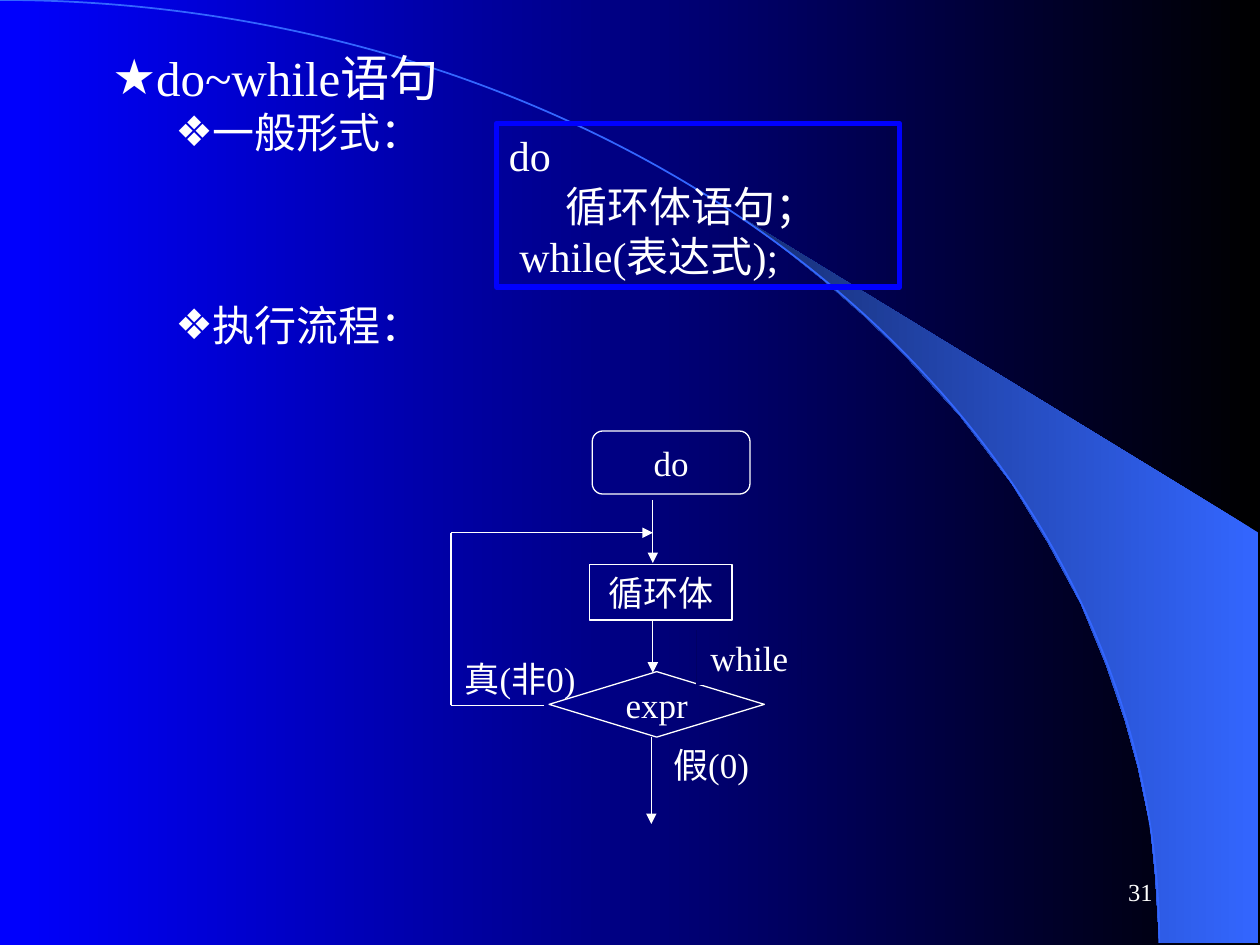
import pptx
import pptx.dml.color
import pptx.enum.shapes
import pptx.enum.text
import pptx.oxml.ns
import pptx.util
from lxml import etree
from pptx.util import Cm

SHAPE = pptx.enum.shapes.MSO_SHAPE
ALIGN = pptx.enum.text.PP_ALIGN
MIDDLE = pptx.enum.text.MSO_ANCHOR.MIDDLE
qn = pptx.oxml.ns.qn

LATIN, CHINESE = "Times New Roman", "Noto Sans CJK SC"
WHITE, BLUE, SKY = "FFFFFF", "0000FF", "3366FF"

# Outer corners first, then down along the ellipse
WEDGE = [
    (23.37, 19), (25.37, 19.02), (25.37, 10.74), (14.96, 4.39), (15.85, 5.05),
    (16.59, 5.64), (17.4, 6.35), (18.19, 7.11), (19.35, 8.38), (20.4, 9.75),
    (21.13, 10.95), (21.79, 12.17), (22.3, 13.41), (22.68, 14.53),
    (22.94, 15.47), (23.19, 16.66), (23.29, 17.68),
]


def rgb(value):
    return pptx.dml.color.RGBColor.from_string(value)


def fill_gradient(fill, right, left):
    fill.gradient()
    fill.gradient_angle = 180
    for stop, color, position in zip(fill.gradient_stops, (right, left), (0, 1)):
        stop.color.rgb = rgb(color)
        stop.position = position


def style_paragraph(paragraph, size, align=ALIGN.LEFT):
    paragraph.alignment = align
    paragraph.space_before = pptx.util.Pt(0)
    font = paragraph.font
    font.size = pptx.util.Pt(size)
    font.color.rgb = rgb(WHITE)
    font.name = LATIN


def write(shape, lines, size, align=ALIGN.CENTER, wrap=False):
    frame = shape.text_frame
    frame.word_wrap = wrap
    frame.vertical_anchor = MIDDLE
    frame.text = "\n".join(lines)
    for paragraph in frame.paragraphs:
        style_paragraph(paragraph, size, align)


def set_bullet(paragraph, symbol, level):
    paragraph.level = level
    properties = paragraph._p.get_or_add_pPr()
    properties.set("marL", str(Cm(1.27 * (level + 1))))
    properties.set("indent", str(Cm(-0.53)))
    color = etree.SubElement(properties, qn("a:buClr"))
    etree.SubElement(color, qn("a:srgbClr")).set("val", WHITE)
    etree.SubElement(properties, qn("a:buChar")).set("char", symbol)


def fill_list(placeholder, box, items):
    """Write (bullet, level, size, runs) items; runs are (text, font) pairs."""
    placeholder.left, placeholder.top, placeholder.width, placeholder.height = map(Cm, box)
    frame = placeholder.text_frame
    frame.auto_size = pptx.enum.text.MSO_AUTO_SIZE.NONE
    for index, (symbol, level, size, runs) in enumerate(items):
        paragraph = frame.add_paragraph() if index else frame.paragraphs[0]
        set_bullet(paragraph, symbol, level)
        style_paragraph(paragraph, size)
        for text, font in runs:
            run = paragraph.add_run()
            run.text = text
            if font != LATIN:
                run.font.name = font


def add_outline(slide, kind, box, color, width):
    shape = slide.shapes.add_shape(kind, *map(Cm, box))
    shape.shadow.inherit = False
    shape.fill.background()
    if color:
        shape.line.color.rgb = rgb(color)
        shape.line.width = pptx.util.Pt(width)
    else:
        shape.line.fill.background()
    return shape


def add_step(slide, kind, box, text, line=WHITE, masks=True):
    """Add a flowchart step; a masking step shows the slide background inside."""
    step = add_outline(slide, kind, box, line, 0.75)
    if masks:
        step._element.spPr.remove(step._element.spPr.find(qn("a:noFill")))
        step._element.set("useBgFill", "1")
    write(step, [text], 20)


def add_label(slide, box, text, size=20, align=ALIGN.CENTER):
    write(slide.shapes.add_textbox(*map(Cm, box)), [text], size, align)


def add_flow(slide, start, end, arrow=True):
    flow = slide.shapes.add_connector(
        pptx.enum.shapes.MSO_CONNECTOR.STRAIGHT, *map(Cm, start + end))
    flow.line.color.rgb = rgb(WHITE)
    flow.line.width = pptx.util.Pt(0.75)
    if arrow:
        etree.SubElement(flow.line._get_or_add_ln(), qn("a:tailEnd")).set("type", "triangle")
    etree.SubElement(flow._element.spPr, qn("a:effectLst"))


def add_backdrop(slide):
    fill_gradient(slide.background.fill, "000000", BLUE)
    builder = slide.shapes.build_freeform(*map(Cm, WEDGE[0]), scale=1.0)
    builder.add_line_segments([tuple(map(Cm, point)) for point in WEDGE[1:]])
    wedge = builder.convert_to_shape()
    wedge.shadow.inherit = False
    wedge.line.fill.background()
    fill_gradient(wedge.fill, SKY, "172F75")
    curve = add_outline(slide, SHAPE.ARC, (-23.37, 0, 46.74, 38.02), SKY, 1)
    for position, part in enumerate((wedge, curve), start=2):
        slide.shapes._spTree.insert(position, part._element)


def add_flowchart(slide):
    axis, loop_left, loop_top, loop_bottom = 13.16, 9.09, 10.74, 14.22
    add_step(slide, SHAPE.FLOWCHART_ALTERNATE_PROCESS, (11.94, 8.69, 3.18, 1.27), "do",
             masks=False)
    add_flow(slide, (13.13, 14.86), (13.13, 16.61))
    add_flow(slide, (axis, 10.08), (axis, 11.35))
    add_step(slide, SHAPE.RECTANGLE, (11.89, 11.38, 2.87, 1.12), "循环体")
    add_flow(slide, (axis, 12.52), (axis, 13.56))
    add_step(slide, SHAPE.FLOWCHART_DECISION, (11.07, 13.54, 4.34, 1.32), "expr")
    add_label(slide, (13.13, 14.86, 2.41, 1.12), "假(0)")
    add_label(slide, (8.86, 13.11, 3.25, 1.12), "真(非0)")
    add_flow(slide, (10.97, loop_bottom), (loop_left, loop_bottom), arrow=False)
    add_flow(slide, (loop_left, loop_bottom), (loop_left, loop_top), arrow=False)
    add_flow(slide, (loop_left, loop_top), (axis, loop_top))
    add_step(slide, SHAPE.RECTANGLE, (14.05, 12.7, 2.11, 1.12), "while", line=None)


def main():
    deck = pptx.Presentation()
    deck.slide_width, deck.slide_height = Cm(25.4), Cm(19.05)
    slide = deck.slides.add_slide(deck.slide_layouts[3])
    title, syntax, execution = list(slide.placeholders)[:3]
    title._element.getparent().remove(title._element)

    add_backdrop(slide)
    fill_list(syntax, (1.27, 0.84, 8.69, 2.54), [
        ("★", 0, 28, [("do~while", LATIN), ("语句", CHINESE)]),
        ("❖", 1, 24, [("一般形式：", CHINESE)]),
    ])
    fill_list(execution, (1.27, 5.92, 8.05, 1.47), [
        ("❖", 1, 24, [("执行流程：", LATIN)]),
    ])
    code = add_outline(slide, SHAPE.RECTANGLE, (10.01, 2.49, 8.13, 3.3), BLUE, 3)
    write(code, ["do", "      循环体语句；", " while(表达式);"], 24, ALIGN.LEFT, wrap=True)
    add_flowchart(slide)
    add_label(slide, (18.21, 17.35, 5.28, 1.27), "31", 14, ALIGN.RIGHT)
    deck.save("out.pptx")


if __name__ == "__main__":
    main()
